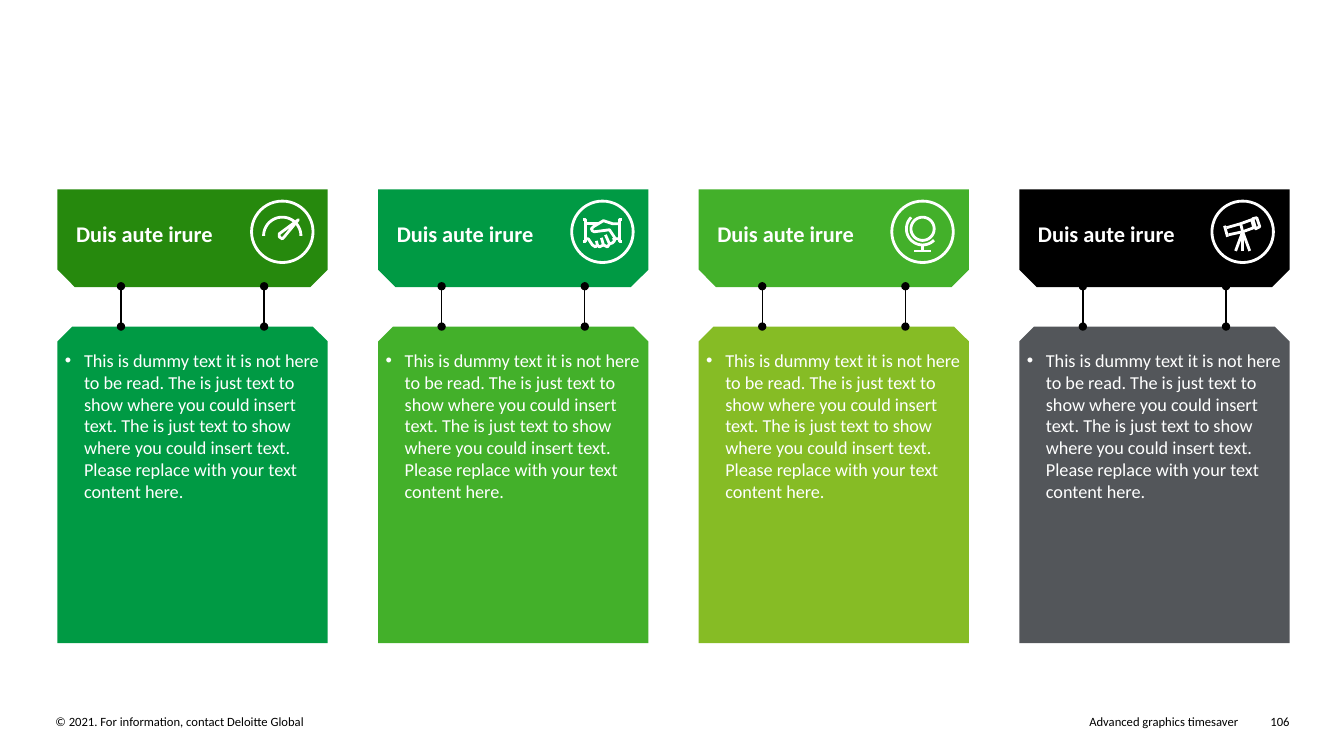
from math import cos, radians, sin

from lxml import etree
from pptx import Presentation
from pptx.dml.color import RGBColor
from pptx.enum.shapes import MSO_CONNECTOR, MSO_SHAPE
from pptx.enum.text import MSO_ANCHOR, PP_ALIGN
from pptx.oxml.ns import qn
from pptx.util import Inches, Pt

SNIP = MSO_SHAPE.SNIP_2_SAME_RECTANGLE
OVAL = MSO_SHAPE.OVAL
STRAIGHT = MSO_CONNECTOR.STRAIGHT
TOP, MIDDLE = MSO_ANCHOR.TOP, MSO_ANCHOR.MIDDLE
LEFT, RIGHT = PP_ALIGN.LEFT, PP_ALIGN.RIGHT

WHITE, BLACK = "FFFFFF", "000000"
FIRST_LEFT, PITCH, CARD_WIDTH = 0.57, 3.18, 2.68
HEADER_TOP, HEADER_HEIGHT = 1.88, 0.97
BODY_TOP, BODY_HEIGHT = 3.24, 3.14
LINK_TOP, LINK_OFFSETS = 2.84, (0.63, 2.05)
ICON_X, ICON_Y, ICON_PITCH, RING_RADIUS = 2.8, 2.3, 3.175, 0.305

HEADING = "Duis aute irure"
BODY = (
    "This is dummy text it is not here to be read. "
    "The is just text to show where you could insert text. "
    "The is just text to show where you could insert text. "
    "Please replace with your text content here."
)
FOOTERS = [
    ("© 2021. For information, contact Deloitte Global", 0.55, 5.86, LEFT),
    ("Advanced graphics timesaver", 6.93, 5.35, RIGHT),
    ("106", 12.45, 0.34, RIGHT),
]


def arc(x, y, radius, start, end):
    angles = [radians(start + (end - start) * i / 40) for i in range(41)]
    return [(x + radius * cos(a), y + radius * sin(a)) for a in angles]


GAUGE = [
    arc(0, 0.04, 0.185, 180, 360),
    [(0.16, -0.12), (-0.03, 0.02), (-0.03, 0.05), (0, 0.07), (0.02, 0.05), (0.16, -0.12)],
]
HANDSHAKE = [
    [(-0.19, -0.12), (-0.17, -0.12), (-0.17, 0.1), (-0.19, 0.1)],
    [(0.19, -0.12), (0.17, -0.12), (0.17, 0.1), (0.19, 0.1)],
    [(-0.17, -0.08), (-0.04, -0.08)],
    [(0.17, -0.08), (0.1, -0.08), (0.01, -0.11), (-0.09, -0.05), (-0.11, -0.03),
     (-0.1, -0.01), (-0.08, 0), (0.07, -0.02), (0.13, 0.07), (0.17, 0.07)],
    [(-0.17, 0.07), (-0.14, 0.07), (-0.1, 0.13), (-0.07, 0.15), (-0.05, 0.13), (-0.06, 0.09)],
    [(-0.05, 0.13), (-0.03, 0.15), (0.01, 0.13), (-0.01, 0.06)],
    [(0.01, 0.13), (0.05, 0.15), (0.07, 0.12), (0.03, 0.03)],
    [(0.07, 0.12), (0.1, 0.11), (0.12, 0.09), (0.11, 0.06)],
]
GLOBE = [
    arc(0, -0.03, 0.115, 0, 360),
    arc(0, -0.03, 0.16, 45, 225),
    [(0, 0.13), (0, 0.19)],
    [(-0.08, 0.19), (0.08, 0.19)],
]
TELESCOPE = [
    [(-0.18, -0.06), (-0.15, 0.05)],
    [(-0.16, -0.04), (-0.02, -0.08), (0, 0), (-0.14, 0.03)],
    [(-0.02, -0.08), (0.09, -0.12), (0.11, -0.04), (0, 0)],
    [(0.1, -0.13), (0.14, -0.14), (0.17, -0.05), (0.13, -0.03), (0.1, -0.13)],
    [(-0.07, 0.19), (0, 0), (0.07, 0.19)],
    [(0, 0), (0, 0.19)],
]
CARDS = [
    ("26890D", "009A44", GAUGE),
    ("009A44", "43B02A", HANDSHAKE),
    ("43B02A", "86BC25", GLOBE),
    (BLACK, "53565A", TELESCOPE),
]


def rgb(value):
    return RGBColor.from_string(value)


def write(s, text, size, color=WHITE, bold=False, align=LEFT, anchor=TOP,
          margins=(0, 0, 0, 0), bullet=False):
    tf = s.text_frame
    left, top, right, bottom = [Inches(m) for m in margins]
    frame = {"word_wrap": True, "vertical_anchor": anchor, "margin_left": left,
             "margin_top": top, "margin_right": right, "margin_bottom": bottom}
    for name, value in frame.items():
        setattr(tf, name, value)
    p = tf.paragraphs[0]
    p.alignment = align
    if bullet:
        props = p._p.get_or_add_pPr()
        props.set("marL", str(Inches(0.19)))
        props.set("indent", str(Inches(-0.19)))
        etree.SubElement(props, qn("a:buFont")).set("typeface", "Arial")
        etree.SubElement(props, qn("a:buChar")).set("char", "•")
    r = p.add_run()
    r.text = text
    for name, value in {"name": "Calibri", "size": Pt(size), "bold": bold}.items():
        setattr(r.font, name, value)
    r.font.color.rgb = rgb(color)


def add_panel(shapes, x, y, height, fill, snips):
    s = shapes.add_shape(SNIP, Inches(x), Inches(y), Inches(CARD_WIDTH), Inches(height))
    s.shadow.inherit = False
    s.fill.solid()
    s.fill.fore_color.rgb = rgb(fill)
    s.line.fill.background()
    for i, snip in enumerate(snips):
        s.adjustments[i] = snip
    return s


def add_link(shapes, x):
    s = shapes.add_connector(STRAIGHT, Inches(x), Inches(LINK_TOP), Inches(x), Inches(BODY_TOP))
    s.line.color.rgb = rgb(BLACK)
    s.line.width = Pt(1)
    for end in ("a:headEnd", "a:tailEnd"):
        etree.SubElement(s.line._get_or_add_ln(), qn(end)).set("type", "oval")
    etree.SubElement(s._element.spPr, qn("a:effectLst"))


def outline(s):
    s.shadow.inherit = False
    s.fill.background()
    s.line.color.rgb = rgb(WHITE)
    s.line.width = Pt(2)


def add_icon(shapes, x, strokes):
    size = Inches(2 * RING_RADIUS)
    outline(shapes.add_shape(OVAL, Inches(x - RING_RADIUS), Inches(ICON_Y - RING_RADIUS),
                             size, size))
    placed = [[(Inches(x + dx), Inches(ICON_Y + dy)) for dx, dy in stroke] for stroke in strokes]
    builder = shapes.build_freeform(*placed[0][0])
    for i, stroke in enumerate(placed):
        if i:
            builder.move_to(*stroke[0])
        builder.add_line_segments(stroke[1:], close=False)
    outline(builder.convert_to_shape())


def add_card(shapes, i, header_fill, body_fill, strokes):
    x = FIRST_LEFT + i * PITCH
    header = add_panel(shapes, x, HEADER_TOP, HEADER_HEIGHT, header_fill, (0, 0.179))
    write(header, HEADING, 16, bold=True, anchor=MIDDLE, margins=(0.1, 0.1, 0.1, 0.1))
    add_icon(shapes, ICON_X + i * ICON_PITCH, strokes)
    body = add_panel(shapes, x, BODY_TOP, BODY_HEIGHT, body_fill, (0.055, 0))
    write(body, BODY, 13, margins=(0, 0.15, 0, 0.05), bullet=True)
    for offset in LINK_OFFSETS:
        add_link(shapes, x + offset)


def add_footer(shapes, text, x, width, align):
    s = shapes.add_textbox(Inches(x), Inches(7.08), Inches(width), Inches(0.15))
    write(s, text, 9, BLACK, align=align)


def main():
    prs = Presentation()
    prs.slide_width, prs.slide_height = Inches(13.33), Inches(7.5)
    shapes = prs.slides.add_slide(prs.slide_layouts[6]).shapes
    for footer in FOOTERS:
        add_footer(shapes, *footer)
    for i, card in enumerate(CARDS):
        add_card(shapes, i, *card)
    prs.save("out.pptx")


if __name__ == "__main__":
    main()
